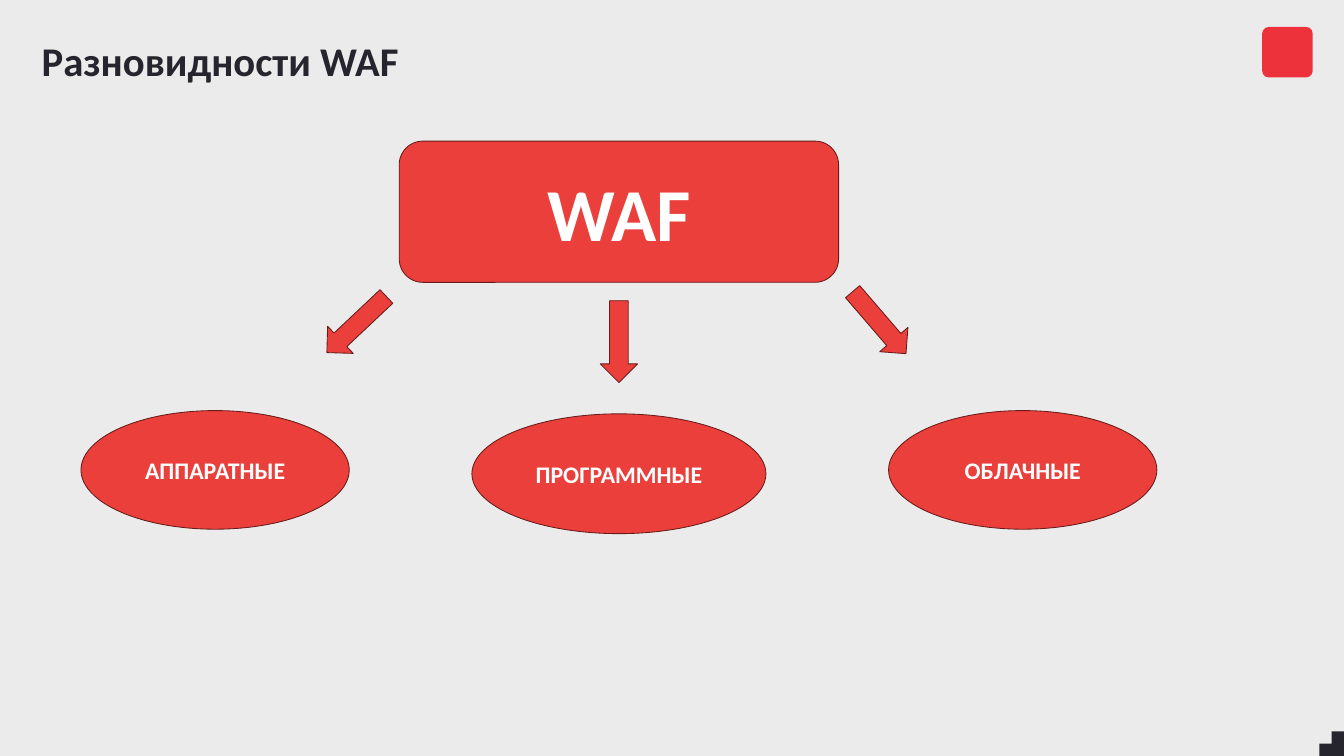
from pptx import Presentation
from pptx.dml.color import RGBColor
from pptx.enum.shapes import MSO_SHAPE
from pptx.enum.text import MSO_ANCHOR, PP_ALIGN
from pptx.util import Cm, Pt

TITLE = "Разновидности WAF"
ROOT = "WAF"
# label, width, height, centre y of the ellipse
KINDS = [
    ("АППАРАТНЫЕ", 11.15, 4.93, 19.53),
    ("ПРОГРАММНЫЕ", 12.22, 4.98, 19.69),
    ("ОБЛАЧНЫЕ", 11.15, 4.93, 19.53),
]
# centre x, centre y, rotation
ARROWS = [(14.82, 13.49, 46.7), (25.72, 14.2, 0), (36.54, 13.41, 319.3)]

COLORS = {
    "background": "EBEBEB",
    "badge": "EE323C",
    "dark": "26242D",
    "red": "EA3F3B",
    "outline": "671C1A",
    "white": "FFFFFF",
}
FONT = "Calibri"
WIDTH, HEIGHT = 55.85, 31.42
CENTER_X, COLUMN_STEP = 25.72, 16.78
STAIR = 0.51


def color(name):
    return RGBColor.from_string(COLORS[name])


def paint(shape, fill, outline=None):
    shape.shadow.inherit = False
    shape.fill.solid()
    shape.fill.fore_color.rgb = color(fill)
    if outline:
        shape.line.color.rgb = color(outline)
        shape.line.width = Pt(1)
    else:
        shape.line.fill.background()


def write(shape, text, size, ink, align):
    frame = shape.text_frame
    frame.word_wrap = True
    frame.vertical_anchor = MSO_ANCHOR.MIDDLE
    para = frame.paragraphs[0]
    para.alignment = align
    span = para.add_run()
    span.text = text
    span.font.name = FONT
    span.font.size = Pt(size)
    span.font.bold = True
    span.font.color.rgb = color(ink)


def add_red(page, kind, center_x, center_y, width, height):
    """Add an outlined red shape placed by its centre."""
    shape = page.shapes.add_shape(
        kind, Cm(center_x - width / 2), Cm(center_y - height / 2), Cm(width), Cm(height))
    paint(shape, "red", "outline")
    return shape


def add_frame(page):
    """Add the background, the badge and the stair in the corner."""
    page.background.fill.solid()
    page.background.fill.fore_color.rgb = color("background")

    badge = page.shapes.add_shape(
        MSO_SHAPE.ROUNDED_RECTANGLE, Cm(52.45), Cm(1.12), Cm(2.1), Cm(2.1))
    badge.adjustments[0] = 0.13
    paint(badge, "badge")

    steps = [(2, 0), (2, 1), (1, 1), (1, 2), (0, 2)]
    corners = [(Cm(WIDTH - across * STAIR), Cm(HEIGHT - up * STAIR)) for across, up in steps]
    builder = page.shapes.build_freeform(Cm(WIDTH), Cm(HEIGHT), scale=1.0)
    builder.add_line_segments(corners, close=True)
    paint(builder.convert_to_shape(), "dark")


def main():
    deck = Presentation()
    deck.slide_width, deck.slide_height = Cm(WIDTH), Cm(HEIGHT)
    page = deck.slides.add_slide(deck.slide_layouts[6])
    add_frame(page)

    title = page.shapes.add_textbox(Cm(1.63), Cm(1.27), Cm(48.18), Cm(2.49))
    title.text_frame.margin_left = Cm(0.1)
    write(title, TITLE, 48, "dark", PP_ALIGN.LEFT)

    root = add_red(page, MSO_SHAPE.ROUNDED_RECTANGLE, CENTER_X, 8.8, 18.26, 5.87)
    write(root, ROOT, 88, "white", PP_ALIGN.CENTER)

    for column, (label, width, height, center_y) in enumerate(KINDS):
        center_x = CENTER_X + (column - 1) * COLUMN_STEP
        oval = add_red(page, MSO_SHAPE.OVAL, center_x, center_y, width, height)
        write(oval, label, 28, "white", PP_ALIGN.CENTER)

    for center_x, center_y, rotation in ARROWS:
        arrow = add_red(page, MSO_SHAPE.DOWN_ARROW, center_x, center_y, 1.55, 3.4)
        arrow.rotation = rotation

    deck.save("out.pptx")


if __name__ == "__main__":
    main()
